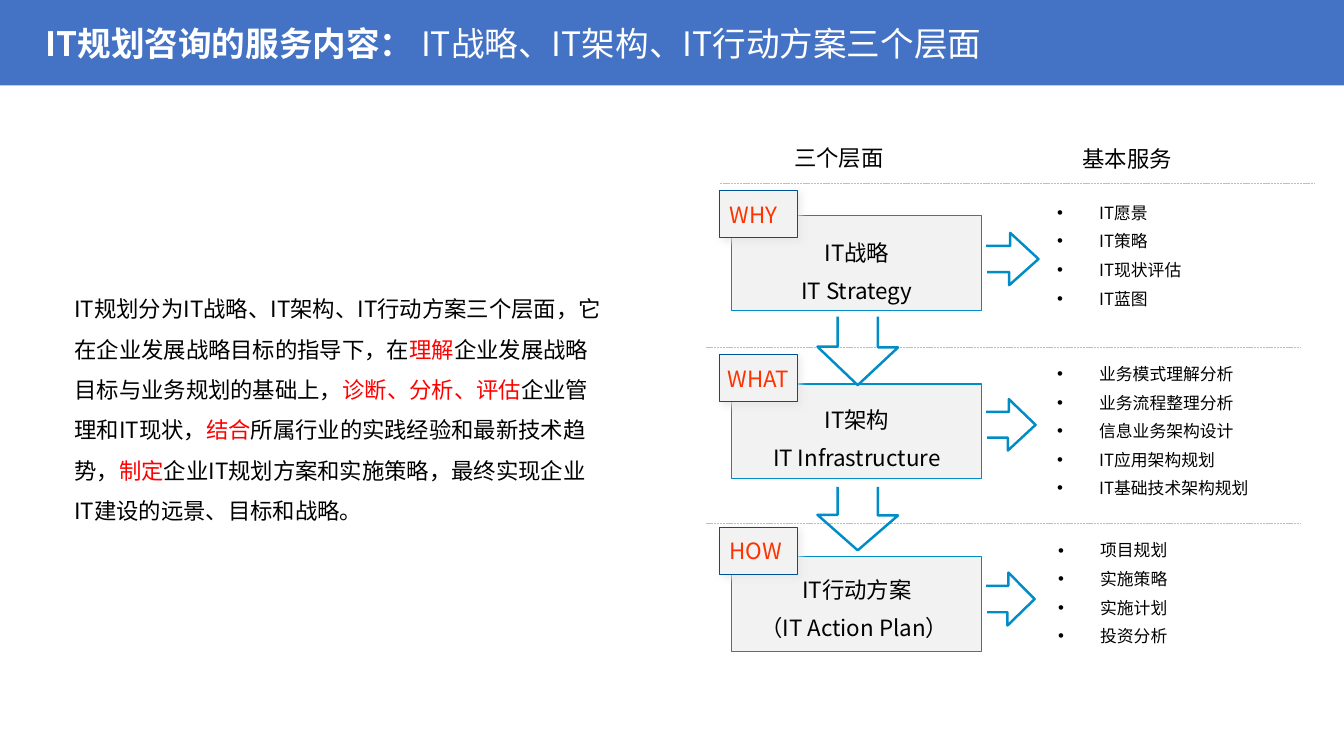
from lxml import etree
from pptx import Presentation
from pptx.dml.color import RGBColor
from pptx.enum.dml import MSO_LINE
from pptx.enum.shapes import MSO_CONNECTOR, MSO_SHAPE
from pptx.enum.text import MSO_ANCHOR, MSO_AUTO_SIZE, PP_ALIGN
from pptx.oxml import parse_xml
from pptx.oxml.ns import nsdecls, qn
from pptx.util import Pt

RECT = MSO_SHAPE.RECTANGLE
LEFT, CENTER = PP_ALIGN.LEFT, PP_ALIGN.CENTER
TOP, MIDDLE = MSO_ANCHOR.TOP, MSO_ANCHOR.MIDDLE
FONT = "Noto Sans CJK SC"
BLACK, RED, WHITE = "000000", "FF0000", "FFFFFF"
GREY, BLUE, ORANGE = "F2F2F2", "008CC6", "FF3300"
SHADOW = f"""<a:effectLst {nsdecls('a')}>
  <a:outerShdw blurRad="63500" dist="38100" dir="2700000" algn="tl" rotWithShape="0">
    <a:srgbClr val="E7E6E6"><a:alpha val="75000"/></a:srgbClr>
  </a:outerShdw></a:effectLst>"""


def color(code):
    return RGBColor.from_string(code)


def write(shape, paras, size, align=LEFT, anchor=TOP, wrap=True):
    """Fill a shape with paragraphs, each a list of (text, colour, bold) runs."""
    frame = shape.text_frame
    frame.auto_size = MSO_AUTO_SIZE.NONE
    frame.word_wrap = wrap
    frame.vertical_anchor = anchor
    for i, runs in enumerate(paras):
        para = frame.add_paragraph() if i else frame.paragraphs[0]
        para.alignment = align
        para.space_before = Pt(size / 2 if i else 0)
        for text, code, bold in runs:
            run = para.add_run()
            run.text = text
            font = run.font
            font.name, font.size, font.bold = FONT, Pt(size), bold
            font.color.rgb = color(code)
            etree.SubElement(run._r.rPr, qn("a:ea")).set("typeface", FONT)
    return frame


prs = Presentation()
prs.slide_width, prs.slide_height = Pt(960), Pt(540)
slide = prs.slides.add_slide(prs.slide_layouts[5])
shapes = slide.shapes

# Title on its band
band = shapes.add_shape(RECT, 0, 0, Pt(960), Pt(61))
band.shadow.inherit = False
band.fill.solid()
band.fill.fore_color.rgb = color("4472C4")
band.line.fill.background()
title = shapes.title
title._element.addprevious(band._element)
title.left, title.top, title.width, title.height = Pt(25.2), Pt(13), Pt(895.7), Pt(65.5)
write(title, [[("IT规划咨询的服务内容： ", WHITE, True),
               ("IT战略、IT架构、IT行动方案三个层面", WHITE, False)]], 24)

# Dashed rules
for x, y in ((504, 373.7), (504, 248.4), (514.1, 131)):
    rule = shapes.add_connector(MSO_CONNECTOR.STRAIGHT, Pt(x), Pt(y), Pt(x + 425.5), Pt(y))
    rule.line.color.rgb = color("BFBFBF")
    rule.line.width = Pt(0.5)
    rule.line.dash_style = MSO_LINE.SQUARE_DOT
    etree.SubElement(rule._element.spPr, qn("a:effectLst"))

# Summary and column heads
summary = [
    ("IT规划分为IT战略、IT架构、IT行动方案三个层面，它在企业发展战略目标的指导下，在", BLACK, False),
    ("理解", RED, False),
    ("企业发展战略目标与业务规划的基础上，", BLACK, False),
    ("诊断、分析、评估", RED, False),
    ("企业管理和IT现状，", BLACK, False),
    ("结合", RED, False),
    ("所属行业的实践经验和最新技术趋势，", BLACK, False),
    ("制定", RED, False),
    ("企业IT规划方案和实施策略，最终实现企业IT建设的远景、目标和战略。", BLACK, False),
]
box = shapes.add_textbox(Pt(46.1), Pt(198), Pt(392.4), Pt(181.4))
write(box, [summary], 16).paragraphs[0].line_spacing = 1.5
for x, y, head in ((560.2, 99.4, "三个层面"), (766.1, 100.1, "基本服务")):
    box = shapes.add_textbox(Pt(x), Pt(y), Pt(105.1), Pt(26.6))
    write(box, [[(head, BLACK, False)]], 16)

# Each level: tag, tag align, names, services, tops of tag, box, names and list, list left
levels = [
    ("WHY", LEFT, ["IT战略", "IT Strategy"],
     ["IT愿景", "IT策略", "IT现状评估", "IT蓝图"], 136.1, 154.1, 167, 141.1, 748.1),
    ("WHAT", CENTER, ["IT架构", "IT Infrastructure"],
     ["业务模式理解分析", "业务流程整理分析", "信息业务架构设计", "IT应用架构规划", "IT基础技术架构规划"],
     253.4, 274.3, 286.6, 256.3, 748.1),
    ("HOW", LEFT, ["IT行动方案", "（IT Action Plan） "],
     ["项目规划", "实施策略", "实施计划", "投资分析"], 376.6, 397.4, 408.2, 382.3, 748.8),
]
for tag, align, names, items, tag_y, box_y, name_y, list_y, list_x in levels:
    panel = shapes.add_shape(RECT, Pt(522.7), Pt(box_y), Pt(178.6), Pt(67.7))
    label = shapes.add_shape(RECT, Pt(514.1), Pt(tag_y), Pt(55.4), Pt(33.8))
    for shape, edge in ((panel, BLUE), (label, "005096")):
        shape.fill.solid()
        shape.fill.fore_color.rgb = color(GREY)
        shape.line.color.rgb = color(edge)
        shape.line.width = Pt(0.75)
    panel.shadow.inherit = False
    label._element.spPr.append(parse_xml(SHADOW))
    write(label, [[(tag, ORANGE, False)]], 16, align, MIDDLE, False)

    box = shapes.add_textbox(Pt(522.7), Pt(name_y), Pt(178.6), Pt(55.4))
    write(box, [[(name, BLACK, False)] for name in names], 16, CENTER)

    box = shapes.add_textbox(Pt(list_x), Pt(list_y), Pt(202), Pt(20.4 * len(items) + 5))
    frame = write(box, [[(item, BLACK, False)] for item in items], 12)
    for para in frame.paragraphs:
        props = para._p.get_or_add_pPr()
        props.set("marL", str(Pt(30)))
        props.set("indent", str(-Pt(30)))
        etree.SubElement(props, qn("a:buFont")).set("typeface", "Arial")
        etree.SubElement(props, qn("a:buChar")).set("char", "•")

# Open block arrows, outlined in fractions of their width and height
right = [(0, 0.25), (0.46, 0.25), (0.46, 0), (1, 0.5), (0.44, 1), (0.44, 0.75), (0.02, 0.75)]
down = [(0.75, 0), (0.75, 0.45), (1, 0.45), (0.5, 1), (0, 0.44), (0.25, 0.44), (0.25, 0)]
arrows = [
    (right, 704.4, 166.3, 37.4, 37.4),
    (right, 704.4, 285.1, 35.3, 36.7),
    (right, 704.4, 409, 34.6, 37.8),
    (down, 583.9, 226.1, 57.6, 49),
    (down, 583.9, 347.8, 57.6, 45.3),
]
for outline, x, y, w, h in arrows:
    points = [(Pt(x + u * w), Pt(y + v * h)) for u, v in outline]
    pen = shapes.build_freeform(*points[0])
    pen.add_line_segments(points[1:], close=False)
    arrow = pen.convert_to_shape()
    arrow.shadow.inherit = False
    arrow.fill.background()
    arrow.line.color.rgb = color(BLUE)
    arrow.line.width = Pt(1.75)

prs.save("out.pptx")
